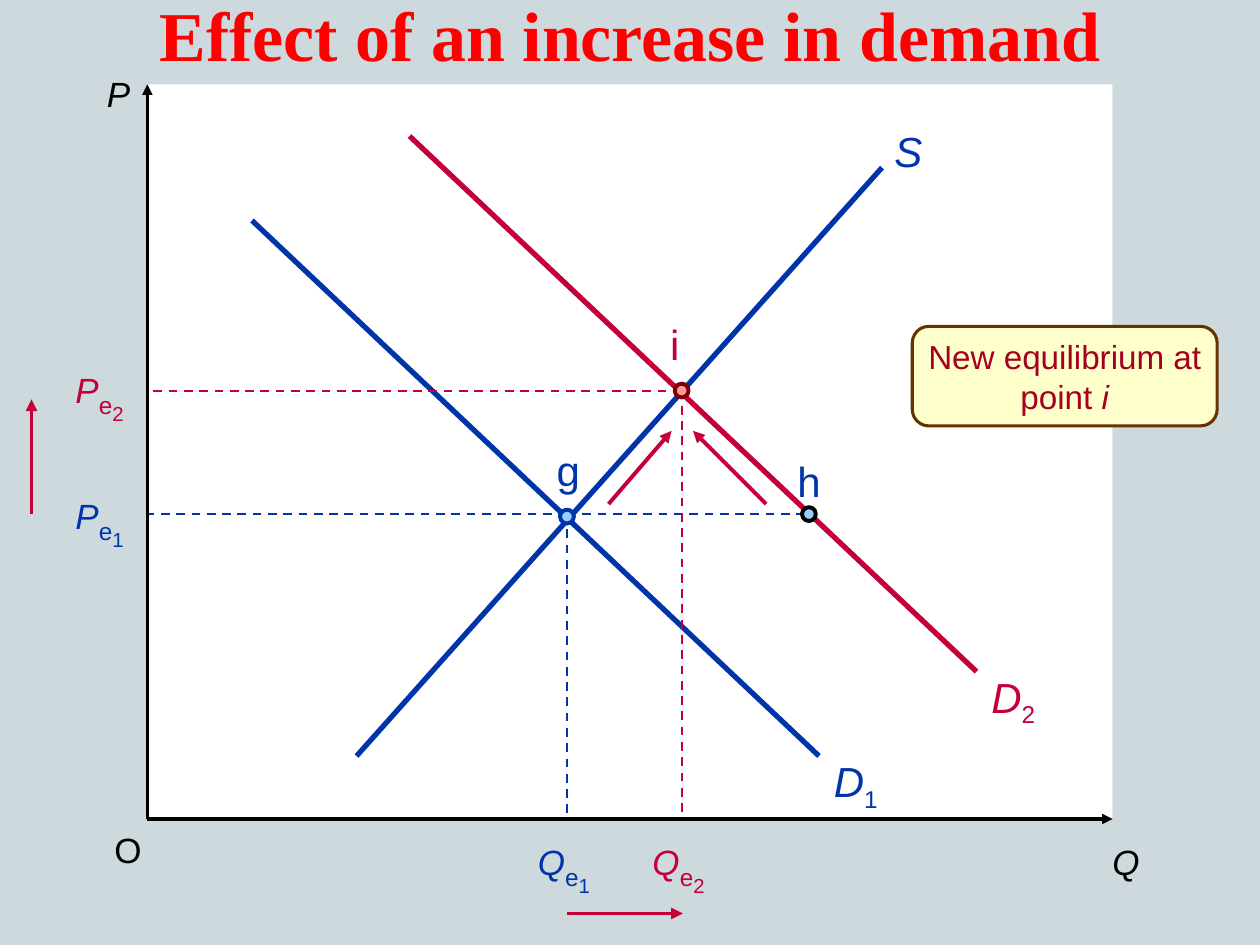
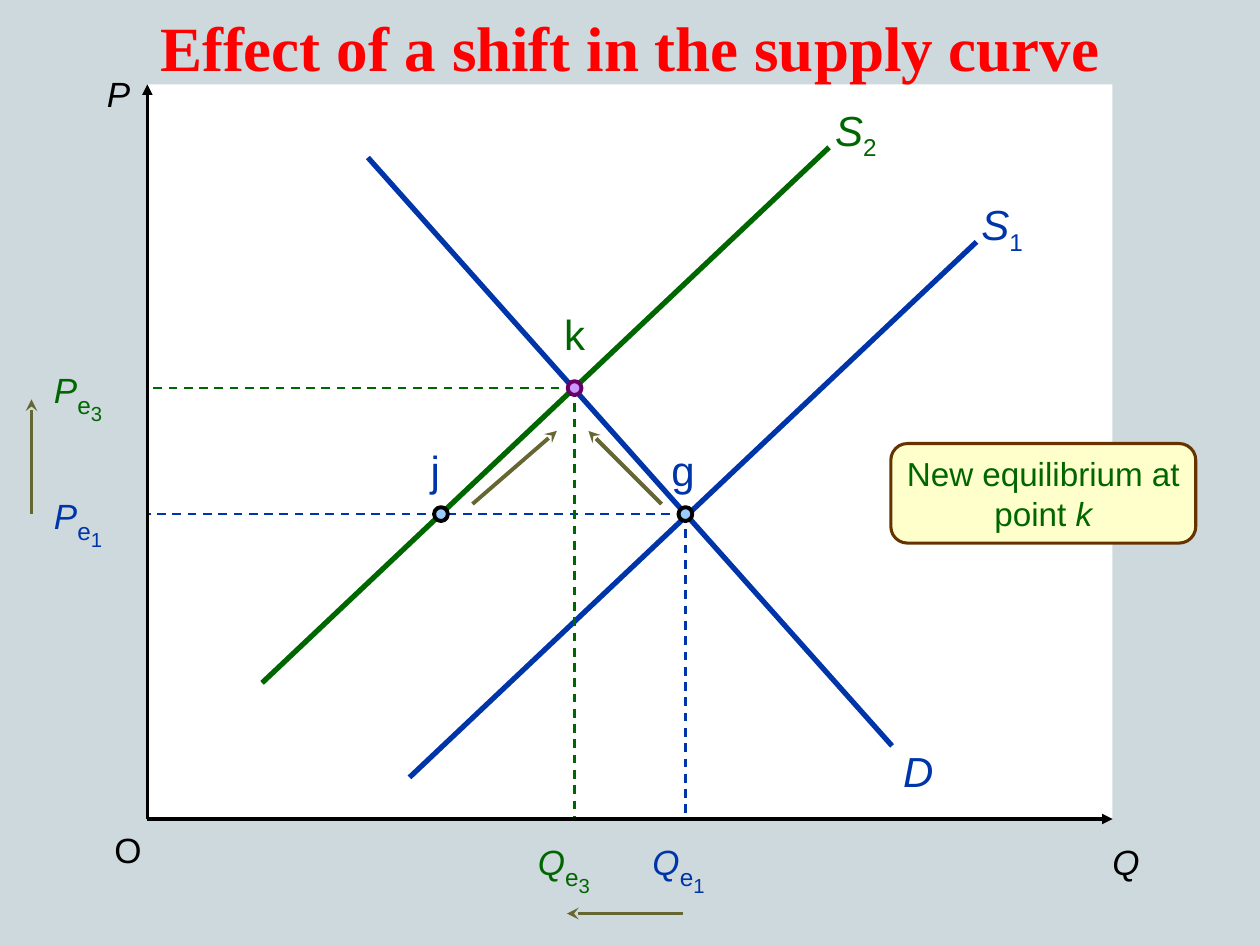
from lxml import etree
from pptx import Presentation
from pptx.dml.color import RGBColor
from pptx.enum.dml import MSO_LINE
from pptx.enum.shapes import MSO_CONNECTOR, MSO_SHAPE
from pptx.enum.text import MSO_ANCHOR, PP_ALIGN
from pptx.oxml.ns import qn
from pptx.util import Inches, Pt

STRAIGHT = MSO_CONNECTOR.STRAIGHT
DASH = MSO_LINE.DASH
RECT, OVAL = MSO_SHAPE.RECTANGLE, MSO_SHAPE.OVAL
ROUND = MSO_SHAPE.FLOWCHART_ALTERNATE_PROCESS
TOP, MIDDLE = MSO_ANCHOR.TOP, MSO_ANCHOR.MIDDLE
LEFT, CENTER = PP_ALIGN.LEFT, PP_ALIGN.CENTER

HEX = {
    "back": "CED9DE", "white": "FFFFFF", "black": "000000",
    "blue": "0035AA", "red": "C40038", "green": "006600", "olive": "666633",
    "title": "FF0000", "wine": "A50021", "cream": "FFFFCC", "brown": "663300",
    "sky": "99CCFF", "pink": "FF9999", "maroon": "800000",
    "lilac": "CC99FF", "purple": "660066",
}
RGB = {name: RGBColor.from_string(code) for name, code in HEX.items()}

# Plot area edges and dot size, in inches
X0, Y0, X1, Y1 = 1.17, 0.67, 8.83, 6.5
DOT = 0.11

# Points: x, y, fill, line. Labels: text, left, top, width, colour.
# An underscore in a label lowers what follows it by one more step.
SLIDES = [
    {
        "title": ("Effect of an increase in demand", 40, -0.12, 0.77),
        "curves": [(2.83, 6, 7, 1.33, "blue"), (2, 1.75, 6.5, 6, "blue"),
                   (3.25, 1.08, 7.75, 5.33, "red")],
        "guides": [(4.5, 4.08, X0, 4.08, "blue"), (4.5, 4.08, 4.5, Y1, "blue"),
                   (4.5, 4.08, 6.42, 4.08, "blue"),
                   (5.41, 3.1, 5.41, Y1, "red"), (5.41, 3.1, X0, 3.1, "red")],
        "arrows": [(0.25, 4.08, 0.25, 3.17), (4.5, 7.25, 5.42, 7.25),
                   (4.83, 4, 5.33, 3.42), (6.08, 4, 5.5, 3.42)],
        "tip": ("red", "triangle"),
        "points": [(6.42, 4.08, "sky", "black"), (4.5, 4.1, "sky", "blue"),
                   (5.41, 3.1, "pink", "maroon")],
        "values": [("P_e_1", 0.5, 3.82, 0.75, "blue"),
                   ("P_e_2", 0.5, 2.82, 0.75, "red"),
                   ("Q_e_1", 4.17, 6.57, 0.75, "blue"),
                   ("Q_e_2", 5.08, 6.57, 0.75, "red")],
        "names": [("S", 7, 0.95, 0.42, "blue"), ("D_1", 6.52, 5.95, 0.55, "blue"),
                  ("D_2", 7.77, 5.28, 0.55, "red"), ("g", 4.32, 3.48, 0.39, "blue"),
                  ("h", 6.23, 3.57, 0.39, "blue"), ("i", 5.22, 2.48, 0.28, "red")],
        "note": ("i", 7.24, 2.59, "wine"),
    },
    {
        "title": ("Effect of a shift in the supply curve", 36, 0.02, 0.7),
        "curves": [(7.08, 5.92, 2.92, 1.25, "blue"), (7.75, 1.92, 3.25, 6.17, "blue"),
                   (6.58, 1.17, 2.08, 5.42, "green")],
        "guides": [(5.44, 4.08, X0, 4.08, "blue"), (5.44, 4.08, 5.44, Y1, "blue"),
                   (4.56, 3.08, X0, 3.08, "green"), (4.56, 3.08, 4.56, Y1, "green")],
        "arrows": [(0.25, 4.08, 0.25, 3.17), (5.42, 7.25, 4.5, 7.25),
                   (3.75, 4, 4.42, 3.42), (5.25, 4, 4.67, 3.42)],
        "tip": ("olive", "stealth"),
        "points": [(5.44, 4.08, "sky", "black"), (3.5, 4.08, "sky", "black"),
                   (4.56, 3.08, "lilac", "purple")],
        "values": [("P_e_1", 0.33, 3.82, 0.75, "blue"),
                   ("P_e_3", 0.33, 2.82, 0.75, "green"),
                   ("Q_e_3", 4.17, 6.57, 0.75, "green"),
                   ("Q_e_1", 5.08, 6.57, 0.75, "blue")],
        "names": [("D", 7.07, 5.87, 0.44, "blue"), ("S_1", 7.69, 1.53, 0.53, "blue"),
                  ("S_2", 6.53, 0.78, 0.53, "green"), ("j", 3.32, 3.48, 0.28, "blue"),
                  ("g", 5.23, 3.48, 0.39, "blue"), ("k", 4.38, 2.4, 0.37, "green")],
        "note": ("k", 7.07, 3.52, "green"),
    },
]
AXES = [(X0, Y1, X1, Y1), (X0, Y1, X0, Y0)]
ENDS = [("P", 0.75, 0.53, 0.37, "black"), ("Q", 8.73, 6.62, 0.42, "black"),
        ("O", 0.81, 6.53, 0.42, "black")]


def add_line(slide, x1, y1, x2, y2, color, width, dash=None, tip=None):
    line = slide.shapes.add_connector(
        STRAIGHT, Inches(x1), Inches(y1), Inches(x2), Inches(y2))
    line.line.color.rgb = RGB[color]
    line.line.width = Pt(width)
    if dash:
        line.line.dash_style = dash
    props = line.element.spPr
    if tip:
        etree.SubElement(props.find(qn("a:ln")), qn("a:tailEnd"), type=tip)
    etree.SubElement(props, qn("a:effectLst"))


def add_label(slide, text, x, y, w, color, size):
    """Write a symbol whose underscores mark deeper subscripts."""
    box = slide.shapes.add_textbox(Inches(x), Inches(y), Inches(w), Inches(0.5))
    frame = box.text_frame
    frame.word_wrap = w > 0.6
    para = frame.paragraphs[0]
    para.alignment = LEFT
    para.font.name = "Arial"
    para.font.color.rgb = RGB[color]
    for depth, part in enumerate(text.split("_")):
        run = para.add_run()
        run.text = part
        run.font.size = Pt((size, 24, 20)[depth])
        run.font.italic = depth == 0 and part in "PQSD"
        if depth:
            run.font._element.set("baseline", str(-25000 * depth))


prs = Presentation()
prs.slide_width, prs.slide_height = Inches(10), Inches(7.5)
back = prs.slide_master.background.fill
back.solid()
back.fore_color.rgb = RGB["back"]

for data in SLIDES:
    slide = prs.slides.add_slide(prs.slide_layouts[5])
    shapes = slide.shapes

    panel = shapes.add_shape(RECT, Inches(X0), Inches(Y0), Inches(X1 - X0), Inches(Y1 - Y0))
    panel.shadow.inherit = False
    panel.fill.solid()
    panel.fill.fore_color.rgb = RGB["white"]
    panel.line.fill.background()

    for curve in data["curves"]:
        add_line(slide, *curve, 3)
    for guide in data["guides"]:
        add_line(slide, *guide, 1.25, dash=DASH)
    for axis in AXES:
        add_line(slide, *axis, "black", 2, tip="triangle")
    color, tip = data["tip"]
    for arrow in data["arrows"]:
        add_line(slide, *arrow, color, 2.25, tip=tip)

    for x, y, fill, edge in data["points"]:
        dot = shapes.add_shape(OVAL, Inches(x - DOT / 2), Inches(y - DOT / 2),
                               Inches(DOT), Inches(DOT))
        dot.shadow.inherit = False
        dot.fill.solid()
        dot.fill.fore_color.rgb = RGB[fill]
        dot.line.color.rgb = RGB[edge]
        dot.line.width = Pt(2.25)

    for label in ENDS + data["values"]:
        add_label(slide, *label, 20)
    for label in data["names"]:
        add_label(slide, *label, 24)

    point, x, y, color = data["note"]
    note = shapes.add_shape(ROUND, Inches(x), Inches(y), Inches(2.42), Inches(0.79))
    note.shadow.inherit = False
    note.fill.solid()
    note.fill.fore_color.rgb = RGB["cream"]
    note.line.color.rgb = RGB["brown"]
    note.line.width = Pt(1.75)
    frame = note.text_frame
    frame.word_wrap = True
    frame.vertical_anchor = MIDDLE
    frame.margin_left = frame.margin_right = Inches(0.06)
    frame.margin_top = frame.margin_bottom = Inches(0.04)
    para = frame.paragraphs[0]
    para.alignment = CENTER
    para.font.name = "Arial"
    para.font.size = Pt(19)
    para.font.color.rgb = RGB[color]
    para.add_run().text = "New equilibrium at point "
    run = para.add_run()
    run.text = point
    run.font.italic = True

    text, size, y, h = data["title"]
    title = shapes.title
    title.left, title.top = Inches(0), Inches(y)
    title.width, title.height = Inches(10), Inches(h)
    title.text_frame.text = text
    title.text_frame.vertical_anchor = TOP
    para = title.text_frame.paragraphs[0]
    para.alignment = CENTER
    para.font.name = "Times New Roman"
    para.font.size = Pt(size)
    para.font.bold = True
    para.font.color.rgb = RGB["title"]
    effect = etree.SubElement(para.runs[0].font._element, qn("a:effectLst"))
    shade = etree.SubElement(effect, qn("a:outerShdw"), dist="25400", dir="2700000")
    etree.SubElement(shade, qn("a:srgbClr"), val=HEX["black"])
    # Bring the title in front of the panel
    shapes.element.append(title.element)

prs.save("out.pptx")
